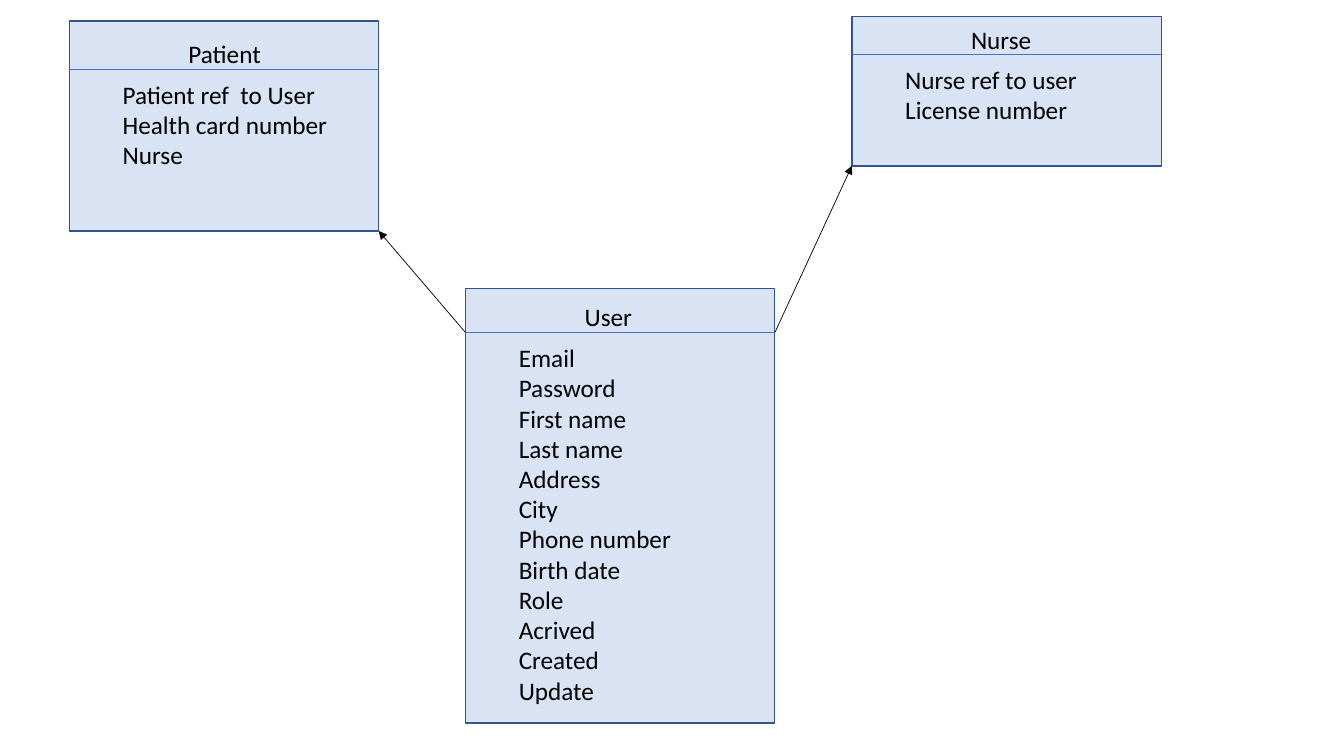
from collections import namedtuple

from lxml import etree
from pptx import Presentation
from pptx.dml.color import RGBColor
from pptx.enum.shapes import MSO_CONNECTOR, MSO_SHAPE
from pptx.enum.text import MSO_AUTO_SIZE
from pptx.oxml.ns import qn
from pptx.util import Pt

STRAIGHT = MSO_CONNECTOR.STRAIGHT
RECTANGLE = MSO_SHAPE.RECTANGLE
FIT_SHAPE = MSO_AUTO_SIZE.SHAPE_TO_FIT_TEXT

BOX_FILL = RGBColor(0xDA, 0xE3, 0xF3)
BOX_LINE = RGBColor(0x32, 0x54, 0x91)
DIVIDER = RGBColor(0x44, 0x72, 0xC4)
BLACK = RGBColor(0, 0, 0)

FONT_SIZE = 18
LINE_HEIGHT = 21.6
INSETS = 7.2  # top and bottom inset together

# header is the distance from the top of the box to its divider
Box = namedtuple("Box", "left top width height header")

USER_BOX = Box(332.5, 206, 221, 310.5, 31.5)
NURSE_BOX = Box(608.5, 12, 221, 106.5, 27)
PATIENT_BOX = Box(49.5, 15, 221, 150, 34.5)

ENTITIES = [
    (USER_BOX, "User", ["Email", "Password", "First name", "Last name", "Address", "City",
                        "Phone number", "Birth date", "Role", "Acrived", "Created", "Update"]),
    (NURSE_BOX, "Nurse", ["Nurse ref to user", "License number"]),
    (PATIENT_BOX, "Patient", ["Patient ref  to User", "Health card number", "Nurse"]),
]


def add_line(shapes, start, end, color, arrow=False):
    line = shapes.add_connector(STRAIGHT, *(Pt(value) for value in (*start, *end)))
    line.line.color.rgb = color
    line.line.width = Pt(0.5)
    if arrow:
        etree.SubElement(line.line._get_or_add_ln(), qn("a:tailEnd"), type="triangle")
    etree.SubElement(line._element.spPr, qn("a:effectLst"))


def add_text(shapes, left, top, width, lines):
    height = len(lines) * LINE_HEIGHT + INSETS
    text_box = shapes.add_textbox(Pt(left), Pt(top), Pt(width), Pt(height))
    text_frame = text_box.text_frame
    text_frame.word_wrap = True
    text_frame.auto_size = FIT_SHAPE
    text_frame.text = "\n".join(lines)
    for paragraph in text_frame.paragraphs:
        for run in paragraph.runs:
            run.font.name = "Calibri"
            run.font.size = Pt(FONT_SIZE)
            run.font.color.rgb = BLACK


def add_entity(slide, box, title, fields):
    shapes = slide.shapes.add_group_shape().shapes
    divider_top = box.top + box.header

    # Frame
    frame = shapes.add_shape(RECTANGLE, Pt(box.left), Pt(box.top), Pt(box.width), Pt(box.height))
    frame.shadow.inherit = False
    frame.fill.solid()
    frame.fill.fore_color.rgb = BOX_FILL
    frame.line.color.rgb = BOX_LINE
    frame.line.width = Pt(1)

    # Divider, title above it and fields below it
    add_line(shapes, (box.left, divider_top), (box.left + box.width, divider_top), DIVIDER)
    add_text(shapes, box.left + 78, divider_top - 25.5, 118, [title])
    add_text(shapes, box.left + 31, divider_top + 3.5, 165, fields)


def add_references(slide, source, left_target, right_target):
    """Arrows from the ends of the source's divider to the targets' near lower corners."""
    divider_top = source.top + source.header
    add_line(slide.shapes, (source.left, divider_top),
             (left_target.left + left_target.width, left_target.top + left_target.height),
             BLACK, arrow=True)
    add_line(slide.shapes, (source.left + source.width, divider_top),
             (right_target.left, right_target.top + right_target.height),
             BLACK, arrow=True)


presentation = Presentation()
presentation.slide_width = Pt(960)
presentation.slide_height = Pt(540)
slide = presentation.slides.add_slide(presentation.slide_layouts[6])

for entity_box, entity_title, entity_fields in ENTITIES:
    add_entity(slide, entity_box, entity_title, entity_fields)
add_references(slide, USER_BOX, PATIENT_BOX, NURSE_BOX)

presentation.save("out.pptx")
